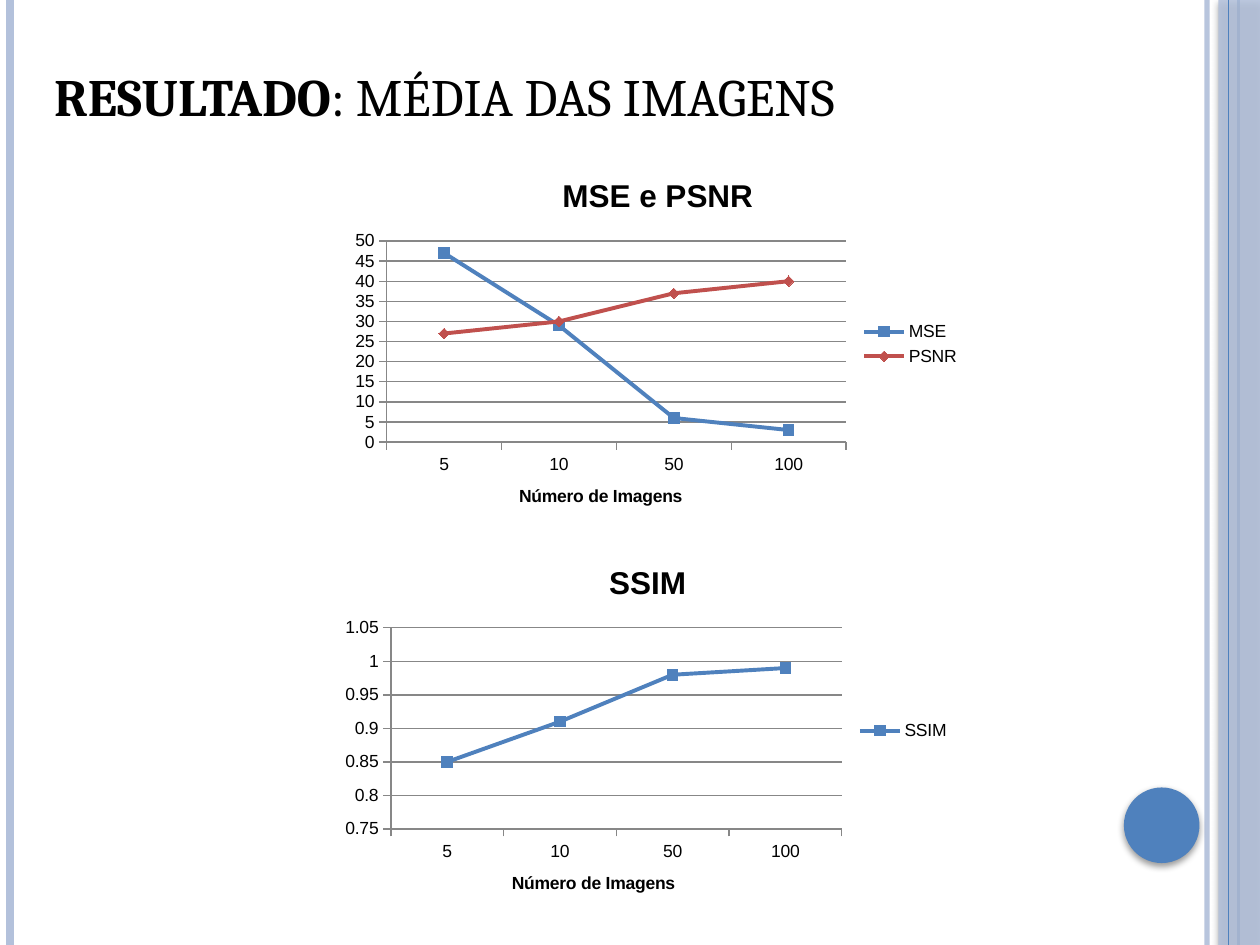
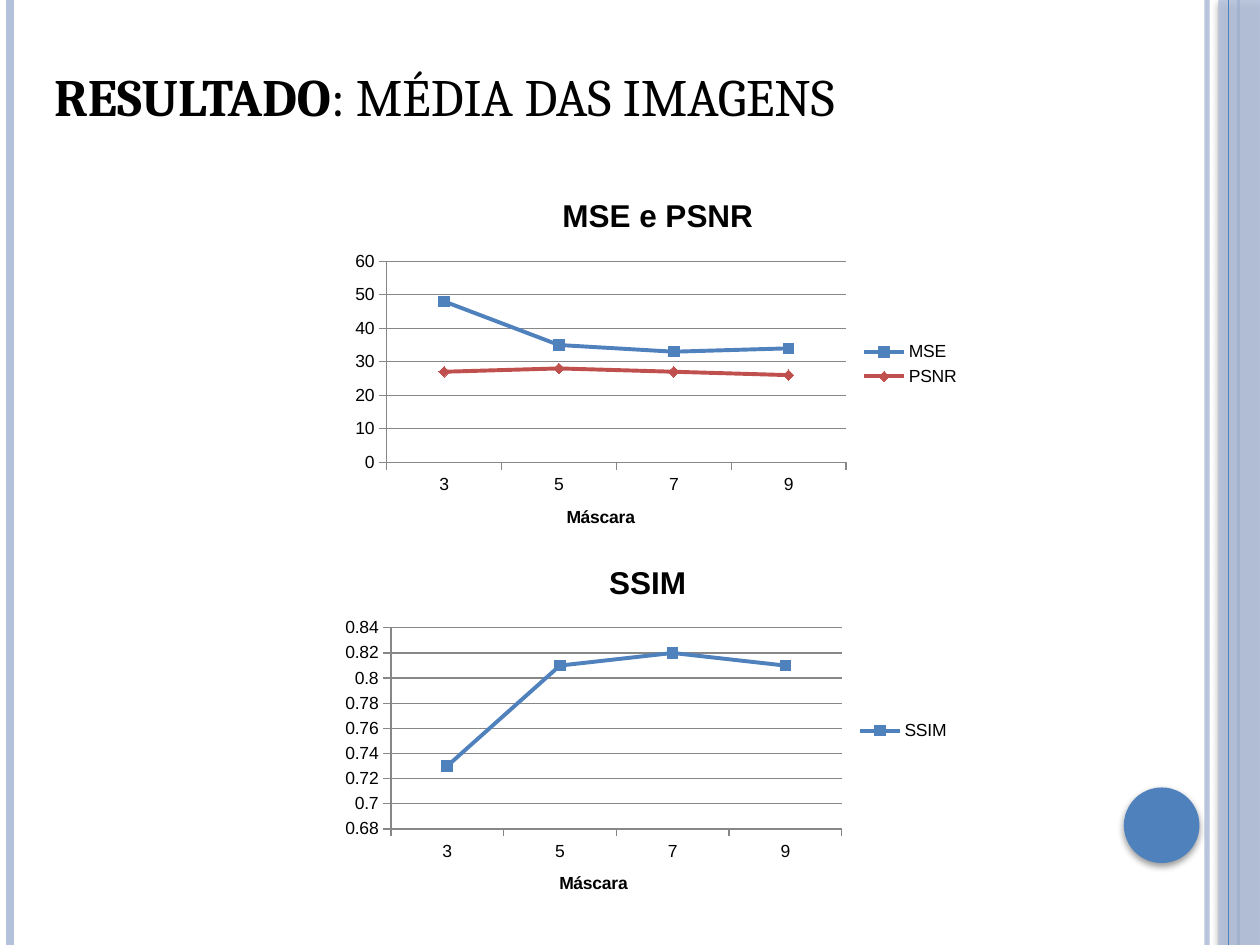
from dataclasses import dataclass

from lxml import etree
from pptx import Presentation
from pptx.chart import data as chart_data
from pptx.dml import color as dml
from pptx.enum import chart as charts, shapes, text
from pptx.oxml import ns
from pptx.util import Inches, Pt

COLORS = {
    "blue": "4F81BD",
    "pale": "B3C1DB",
    "red": "C0504D",
    "grid": "878787",
    "black": "000000",
}
TITLE_FONT, CHART_FONT = "Cambria", "Arial"
HEIGHT = 7.5
MARKERS = (
    ("blue", charts.XL_MARKER_STYLE.SQUARE),
    ("red", charts.XL_MARKER_STYLE.DIAMOND),
)


@dataclass
class Rule:
    left: float
    width: float
    color: str
    opacity: int = 100


@dataclass
class Decoration:
    kind: int
    left: float
    top: float
    width: float
    height: float
    color: str
    opacity: int = 100


@dataclass
class Scale:
    minimum: float
    maximum: float
    step: float


@dataclass
class LineChart:
    title: str
    left: float
    top: float
    scale: Scale
    series: dict[str, tuple[float, ...]]


@dataclass
class Result:
    axis_title: str
    categories: tuple[str, ...]
    charts: tuple[LineChart, ...]


# Frame, from back to front
FRAME = (
    Rule(9.58, 3, "pale", 93),
    Rule(0.08, 4.5, "pale"),
    Rule(9.83, 1.5, "blue"),
    Decoration(shapes.MSO_SHAPE.RECTANGLE, 9.67, 0, 0.33, HEIGHT, "pale", 87),
    Rule(9.75, 0.75, "blue"),
    Decoration(shapes.MSO_SHAPE.OVAL, 8.92, 6.25, 0.6, 0.6, "blue"),
)

RESULTS = (
    Result("Número de Imagens", ("5", "10", "50", "100"), (
        LineChart("MSE e PSNR", 2.72, 1.23, Scale(0, 50, 5),
                  {"MSE": (47, 29, 6, 3), "PSNR": (27, 30, 37, 40)}),
        LineChart("SSIM", 2.64, 4.3, Scale(0.75, 1.05, 0.05),
                  {"SSIM": (0.85, 0.91, 0.98, 0.99)}),
    )),
    Result("Máscara", ("3", "5", "7", "9"), (
        LineChart("MSE e PSNR", 2.72, 1.39, Scale(0, 60, 10),
                  {"MSE": (48, 35, 33, 34), "PSNR": (27, 28, 27, 26)}),
        LineChart("SSIM", 2.64, 4.3, Scale(0.68, 0.84, 0.02),
                  {"SSIM": (0.73, 0.81, 0.82, 0.81)}),
    )),
)


def rgb(name: str) -> dml.RGBColor:
    return dml.RGBColor.from_string(COLORS[name])


def set_font(font, size: float, bold: bool, name: str = CHART_FONT) -> None:
    font.name, font.size, font.bold = name, Pt(size), bold
    font.color.rgb = rgb("black")


def add_child(parent, tag: str, **attributes):
    child = etree.SubElement(parent, ns.qn(tag))
    for key, value in attributes.items():
        child.set(key, str(value))
    return child


def set_opacity(shape, percent: int) -> None:
    if percent < 100:
        fill_color = shape.element.spPr.find(".//" + ns.qn("a:srgbClr"))
        add_child(fill_color, "a:alpha", val=percent * 1000)


def add_rule(slide, rule: Rule):
    line = slide.shapes.add_connector(
        shapes.MSO_CONNECTOR.STRAIGHT,
        Inches(rule.left), Inches(0), Inches(rule.left), Inches(HEIGHT))
    line.line.color.rgb = rgb(rule.color)
    line.line.width = Pt(rule.width)
    set_opacity(line, rule.opacity)
    add_child(line.element.spPr, "a:effectLst")
    return line


def add_decoration(slide, item: Decoration):
    shape = slide.shapes.add_shape(
        item.kind, Inches(item.left), Inches(item.top),
        Inches(item.width), Inches(item.height))
    shape.fill.solid()
    shape.fill.fore_color.rgb = rgb(item.color)
    set_opacity(shape, item.opacity)
    shape.line.fill.background()
    # Soft shadow straight below
    shape.shadow.inherit = False
    effects = shape.element.spPr.find(ns.qn("a:effectLst"))
    shadow = add_child(effects, "a:outerShdw", blurRad=Pt(4), dist=Pt(2),
                       dir=90 * 60000, rotWithShape=0)
    shadow_color = add_child(shadow, "a:srgbClr", val=COLORS["black"])
    add_child(shadow_color, "a:alpha", val=40000)
    return shape


def move_frame_to_layout(slide) -> None:
    """Draw the frame once and hand it to the layout all slides share."""
    tree = slide.slide_layout.shapes.element
    for index, item in enumerate(FRAME):
        add = add_rule if isinstance(item, Rule) else add_decoration
        element = add(slide, item).element
        element.find(".//" + ns.qn("p:cNvPr")).set("id", str(100 + index))
        tree.insert(2 + index, element)


def fill_title(slide) -> None:
    title = slide.shapes.title
    title.left, title.top = Inches(0.43), Inches(0.13)
    title.width, title.height = Inches(8.5), Inches(1.25)
    frame = title.text_frame
    frame.word_wrap = True
    frame.vertical_anchor = text.MSO_ANCHOR.MIDDLE
    frame.margin_left = frame.margin_right = Inches(0)
    frame.margin_top = frame.margin_bottom = Inches(0)
    paragraph = frame.paragraphs[0]
    paragraph.alignment = text.PP_ALIGN.LEFT
    for words, bold in (("RESULTADO", True), (": MÉDIA DAS IMAGENS", False)):
        run = paragraph.add_run()
        run.text = words
        set_font(run.font, 30, bold, TITLE_FONT)


def write_chart_text(frame, words: str, size: float) -> None:
    run = frame.paragraphs[0].add_run()
    run.text = words
    set_font(run.font, size, True)


def style_axes(chart, axis_title: str, scale: Scale) -> None:
    category, value = chart.category_axis, chart.value_axis
    write_chart_text(category.axis_title.text_frame, axis_title, 10)
    for axis in (category, value):
        axis.major_tick_mark = charts.XL_TICK_MARK.OUTSIDE
        axis.format.line.color.rgb = rgb("grid")
        axis.format.line.width = Pt(0.75)
        set_font(axis.tick_labels.font, 10, False)
    value.minimum_scale, value.maximum_scale = scale.minimum, scale.maximum
    value.major_unit = scale.step
    value.has_major_gridlines = True
    value.major_gridlines.format.line.color.rgb = rgb("grid")
    value.major_gridlines.format.line.width = Pt(0.75)


def add_line_chart(slide, result: Result, item: LineChart) -> None:
    data = chart_data.CategoryChartData()
    data.categories = result.categories
    for name, values in item.series.items():
        data.add_series(name, values)
    chart = slide.shapes.add_chart(
        charts.XL_CHART_TYPE.LINE_MARKERS, Inches(item.left),
        Inches(item.top), Inches(5), Inches(3), data).chart
    set_font(chart.font, 10, False)
    chart.has_title = True
    write_chart_text(chart.chart_title.text_frame, item.title, 18)
    chart.chart_title.include_in_layout = False
    chart.has_legend = True
    chart.legend.position = charts.XL_LEGEND_POSITION.RIGHT
    chart.legend.include_in_layout = False
    set_font(chart.legend.font, 10, False)
    style_axes(chart, result.axis_title, item.scale)
    plot = chart.plots[0]
    plot.vary_by_categories = False
    for series, (color, marker) in zip(plot.series, MARKERS):
        series.smooth = False
        series.format.line.color.rgb = rgb(color)
        series.format.line.width = Pt(2.25)
        series.marker.style, series.marker.size = marker, 6
        series.marker.format.fill.solid()
        series.marker.format.fill.fore_color.rgb = rgb(color)
        series.marker.format.line.color.rgb = rgb(color)


def main() -> None:
    presentation = Presentation()
    presentation.slide_width = Inches(10)
    presentation.slide_height = Inches(HEIGHT)
    layout = presentation.slide_layouts.get_by_name("Title Only")
    for number, result in enumerate(RESULTS):
        slide = presentation.slides.add_slide(layout)
        if number == 0:
            move_frame_to_layout(slide)
        fill_title(slide)
        for item in result.charts:
            add_line_chart(slide, result, item)
    presentation.save("out.pptx")


if __name__ == "__main__":
    main()
